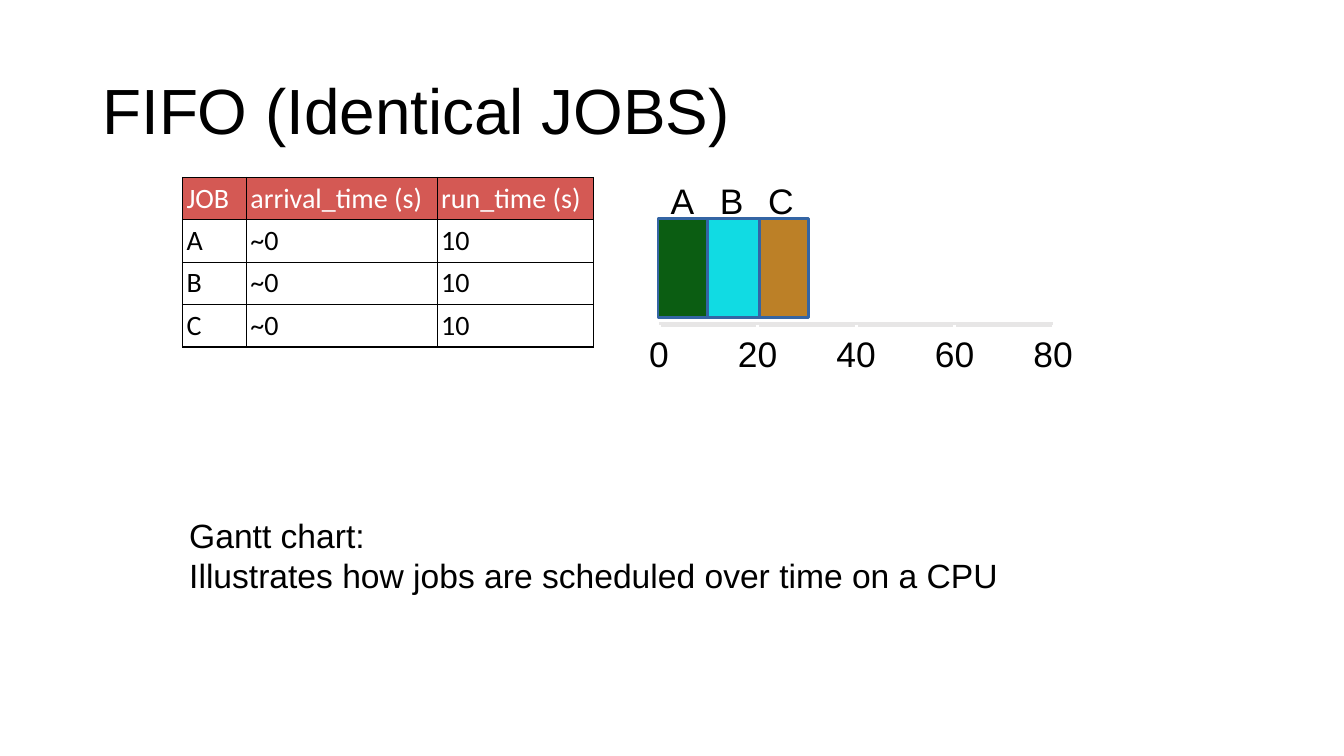
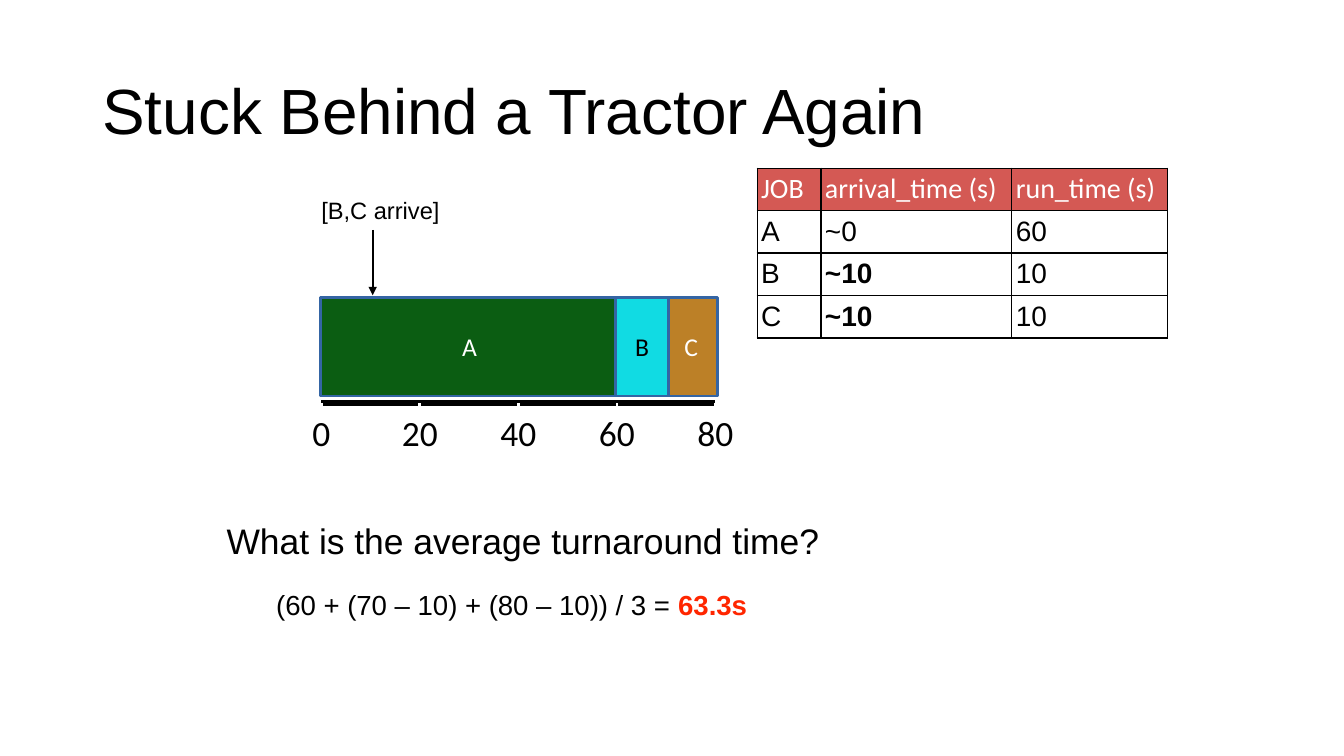
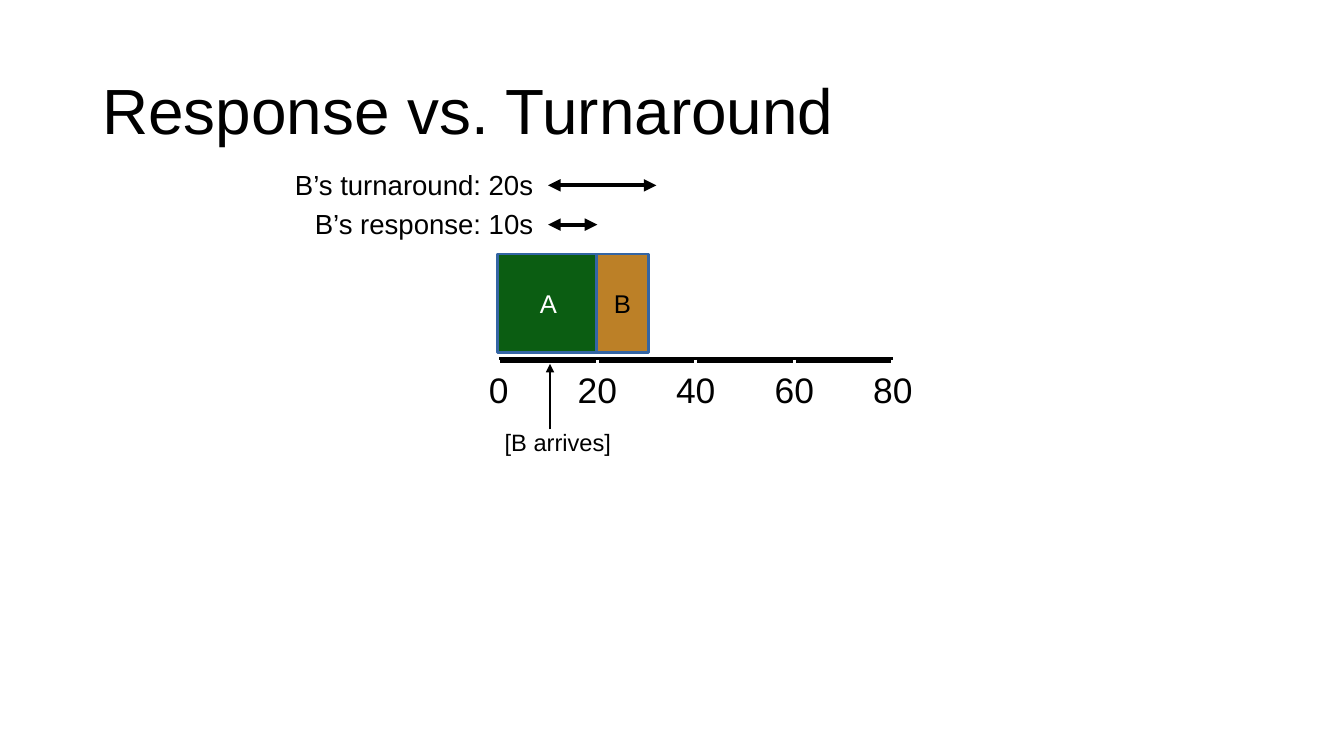
from dataclasses import dataclass

from lxml import etree
from pptx import Presentation
from pptx.dml.color import RGBColor
from pptx.enum.shapes import MSO_CONNECTOR, MSO_SHAPE
from pptx.enum.text import MSO_ANCHOR, MSO_AUTO_SIZE, PP_ALIGN
from pptx.oxml.ns import qn
from pptx.util import Cm, Pt

LEFT, CENTER, RIGHT = PP_ALIGN.LEFT, PP_ALIGN.CENTER, PP_ALIGN.RIGHT
MIDDLE = MSO_ANCHOR.MIDDLE
RECT, STRAIGHT = MSO_SHAPE.RECTANGLE, MSO_CONNECTOR.STRAIGHT
TITLE_ONLY = 5


@dataclass(frozen=True)
class Theme:
    sans: str = "Arial"
    alt: str = "Calibri"
    black: str = "000000"
    white: str = "FFFFFF"
    grey: str = "E7E6E6"
    green: str = "0B5D12"
    cyan: str = "11DBE3"
    amber: str = "BC8027"
    header: str = "D45954"
    outline: str = "3465A4"
    result: str = "FF2600"
    title_size: float = 45.6
    large: float = 25.3
    note: float = 24
    table_size: float = 20
    medium: float = 19.7
    bar_size: float = 18.3
    small: float = 16.9


T = Theme()

# Gantt geometry in cm
AXIS_LENGTH, AXIS_END, TICK_STEP = 9.93, 80, 20
UNIT = AXIS_LENGTH / AXIS_END
BAR_RISE, BAR_HEIGHT, BAR_OVERLAP = 2.67, 2.49, 0.08
LABEL_WIDTH, LABEL_HEIGHT = 1.4, 1.27

COLUMN_WIDTHS = (1.61, 4.81, 3.93)
HEADINGS = ("JOB", "arrival_time (s)", "run_time (s)")


def rgb(value):
    return RGBColor.from_string(value)


def set_font(font, size, name=T.sans, color=T.black, bold=False):
    fmt = {"size": Pt(size), "name": name, "bold": bold}
    for key, value in fmt.items():
        setattr(font, key, value)
    font.color.rgb = rgb(color)


def set_frame(tf, margin):
    fmt = {"word_wrap": True, "auto_size": MSO_AUTO_SIZE.NONE,
           "vertical_anchor": MIDDLE, "margin_left": Cm(margin),
           "margin_right": Cm(margin), "margin_top": Cm(margin),
           "margin_bottom": Cm(margin)}
    for key, value in fmt.items():
        setattr(tf, key, value)


def add_text(s, box, text, size, align=LEFT, name=T.sans, result=None):
    tf = s.shapes.add_textbox(*map(Cm, box)).text_frame
    set_frame(tf, 0.1)
    for i, line in enumerate(text.split("\n")):
        p = tf.paragraphs[0] if i == 0 else tf.add_paragraph()
        p.alignment = align
        r = p.add_run()
        r.text = line
        set_font(r.font, size, name)
    if result:
        r = p.add_run()
        r.text = result
        set_font(r.font, size, name, T.result, True)


def add_line(s, start, end, color, width, head=False, tail=False):
    line = s.shapes.add_connector(STRAIGHT, *map(Cm, start + end))
    line.line.color.rgb = rgb(color)
    line.line.width = Pt(width)
    ln = line.line._get_or_add_ln()
    for tag, shown in (("a:headEnd", head), ("a:tailEnd", tail)):
        if shown:
            etree.SubElement(ln, qn(tag), type="triangle")
    etree.SubElement(line._element.spPr, qn("a:effectLst"))


def new_slide(prs, title):
    s = prs.slides.add_slide(prs.slide_layouts[TITLE_ONLY])
    sp = s.shapes.title
    sp.left, sp.top, sp.width, sp.height = map(Cm, (2.33, 1.02, 29.21, 3.68))
    tf = sp.text_frame
    set_frame(tf, 0.25)
    p = tf.paragraphs[0]
    p.alignment = LEFT
    p.line_spacing = 0.9
    r = p.add_run()
    r.text = title
    set_font(r.font, T.title_size)
    return s


def add_borders(cell):
    tc_pr = cell._tc.get_or_add_tcPr()
    for i, side in enumerate(("a:lnL", "a:lnR", "a:lnT", "a:lnB")):
        ln = etree.Element(qn(side), w=str(Pt(1)))
        fill = etree.SubElement(ln, qn("a:solidFill"))
        etree.SubElement(fill, qn("a:srgbClr"), val=T.black)
        tc_pr.insert(i, ln)


def add_job_table(s, left, top, jobs, name, bold_cells=()):
    rows = [HEADINGS, *jobs]
    heights = [1.05] + [1.07] * len(jobs)
    box = (left, top, sum(COLUMN_WIDTHS), sum(heights))
    table = s.shapes.add_table(len(rows), len(HEADINGS), *map(Cm, box)).table
    table.first_row = table.horz_banding = False
    for column, width in zip(table.columns, COLUMN_WIDTHS):
        column.width = Cm(width)
    for i, (row, values) in enumerate(zip(table.rows, rows)):
        row.height = Cm(heights[i])
        for j, (cell, value) in enumerate(zip(row.cells, values)):
            for side in ("left", "right", "top", "bottom"):
                setattr(cell, f"margin_{side}", Cm(0.1))
            cell.vertical_anchor = MIDDLE
            if i == 0:
                cell.fill.solid()
                cell.fill.fore_color.rgb = rgb(T.header)
            else:
                cell.fill.background()
            add_borders(cell)
            r = cell.text_frame.paragraphs[0].add_run()
            r.text = value
            set_font(r.font, T.table_size, T.alt if i == 0 else name,
                     T.white if i == 0 else T.black, (i, j) in bold_cells)


def add_bar(s, box, fill, label, label_color, name):
    bar = s.shapes.add_shape(RECT, *map(Cm, box))
    bar.shadow.inherit = False
    bar.fill.solid()
    bar.fill.fore_color.rgb = rgb(fill)
    bar.line.color.rgb = rgb(T.outline)
    bar.line.width = Pt(2)
    if label:
        set_frame(bar.text_frame, 0)
        p = bar.text_frame.paragraphs[0]
        p.alignment = CENTER
        r = p.add_run()
        r.text = label
        set_font(r.font, T.bar_size, name, label_color)


def add_gantt(s, left, axis_y, bars, axis_color=T.black, name=T.sans,
              labels_above=False):
    """Bars are (job, start, length, fill, label colour), from back to front."""
    # Job bars
    for job, start, length, fill, label_color in bars:
        x, width = left - 0.03 + start * UNIT, length * UNIT
        add_bar(s, (x, axis_y - BAR_RISE, width + BAR_OVERLAP, BAR_HEIGHT),
                fill, None if labels_above else job, label_color, name)
        if labels_above:
            box = (x + (width - LABEL_WIDTH) / 2, axis_y - 3.76,
                   LABEL_WIDTH, LABEL_HEIGHT)
            add_text(s, box, job, T.large, CENTER, name)
    # Time axis
    add_line(s, (left, axis_y), (left + AXIS_LENGTH, axis_y), axis_color, 4)
    for time in range(0, AXIS_END + 1, TICK_STEP):
        x = left + time * UNIT
        add_line(s, (x, axis_y), (x, axis_y + 0.2), T.white, 2)
        box = (x - LABEL_WIDTH / 2, axis_y + 0.1, LABEL_WIDTH, LABEL_HEIGHT)
        add_text(s, box, str(time), T.large, CENTER, name)


def add_arrival(s, left, time, text, text_top, start_y, end_y, width):
    x = left + time * UNIT + 0.05
    add_text(s, (x - 1.4, text_top, 3.2, 0.91), text, T.small, CENTER)
    add_line(s, (x, start_y), (x, end_y), T.black, width, tail=True)


def add_interval(s, left, start, end, y, text):
    x = left + start * UNIT
    add_text(s, (x - 6.57, y - 0.54, 6.3, 1.04), text, T.medium, RIGHT)
    add_line(s, (x, y), (left + end * UNIT, y), T.black, 3, True, True)


def fifo_slide(prs):
    s = new_slide(prs, "FIFO (Identical JOBS)")
    add_gantt(s, 16.61, 8.18, [("A", 0, 10, T.green, T.black),
                               ("C", 20, 10, T.amber, T.black),
                               ("B", 10, 10, T.cyan, T.black)],
              axis_color=T.grey, labels_above=True)
    add_text(s, (4.67, 12.83, 23.9, 2.31), "Gantt chart:\n"
             "Illustrates how jobs are scheduled over time on a CPU", T.note)
    add_job_table(s, 4.6, 4.47, [(job, "~0", "10") for job in "ABC"], T.alt)


def tractor_slide(prs):
    s = new_slide(prs, "Stuck Behind a Tractor Again")
    left = 8.1
    add_gantt(s, left, 10.16, [("A", 0, 60, T.green, T.white),
                               ("C", 70, 10, T.amber, T.white),
                               ("B", 60, 10, T.cyan, T.black)], name=T.alt)
    add_arrival(s, left, 10, "[B,C arrive]", 4.83, 5.79, 7.44, 1.4)
    add_text(s, (5.61, 12.98, 16, 1.27),
             "What is the average turnaround time?", T.large)
    add_job_table(s, 19.08, 4.24, [("A", "~0", "60"), ("B", "~10", "10"),
                                   ("C", "~10", "10")], T.sans,
                  bold_cells=((2, 1), (3, 1)))
    add_text(s, (6.86, 14.68, 13, 1.09),
             "(60 + (70 – 10) + (80 – 10)) / 3 = ", T.medium, result="63.3s")


def response_slide(prs):
    s = new_slide(prs, "Response vs. Turnaround")
    left = 12.57
    add_gantt(s, left, 9.07, [("A", 0, 20, T.green, T.white),
                              ("B", 20, 10, T.amber, T.black)])
    add_interval(s, left, 10, 32, 4.67, "B’s turnaround: 20s")
    add_interval(s, left, 10, 20, 5.66, "B’s response: 10s")
    add_arrival(s, left, 10, "[B arrives]", 10.69, 10.82, 9.17, 2)


def main():
    prs = Presentation()
    prs.slide_width, prs.slide_height = Cm(33.87), Cm(19.05)
    for build in (fifo_slide, tractor_slide, response_slide):
        build(prs)
    prs.save("out.pptx")


if __name__ == "__main__":
    main()
